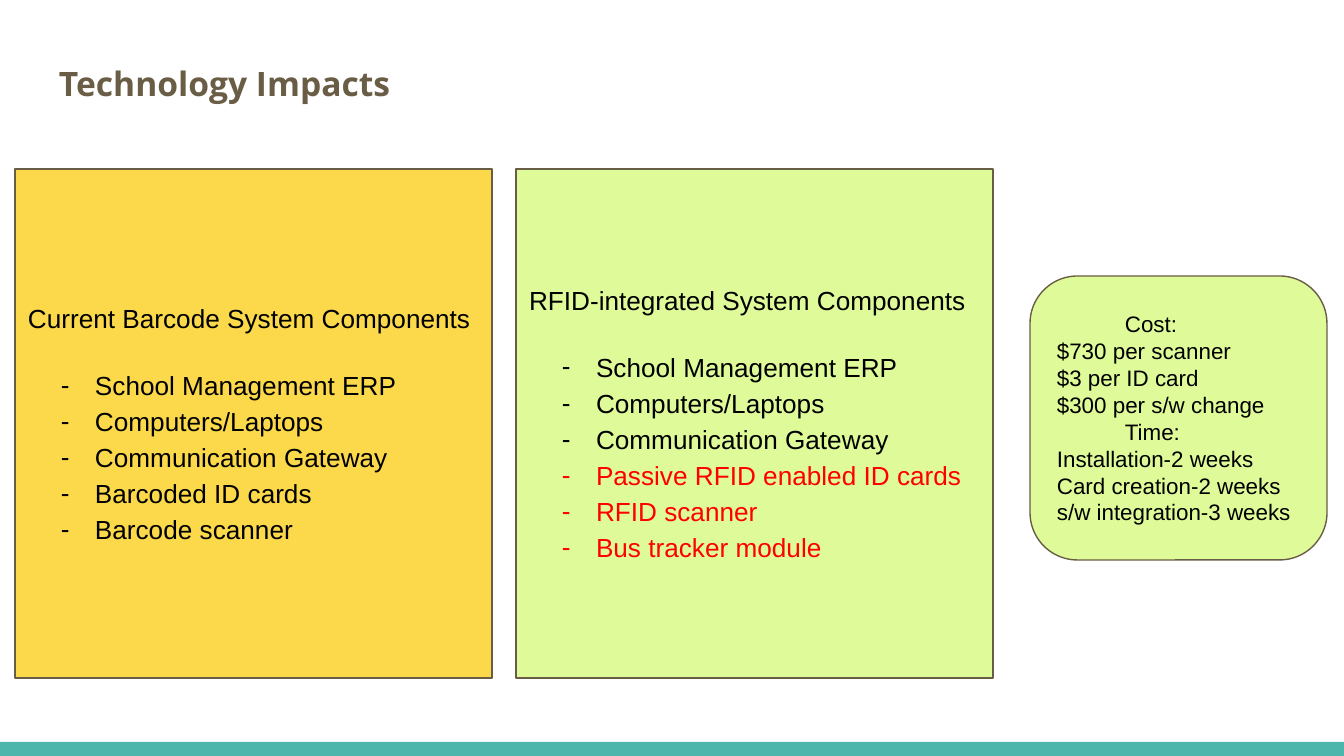
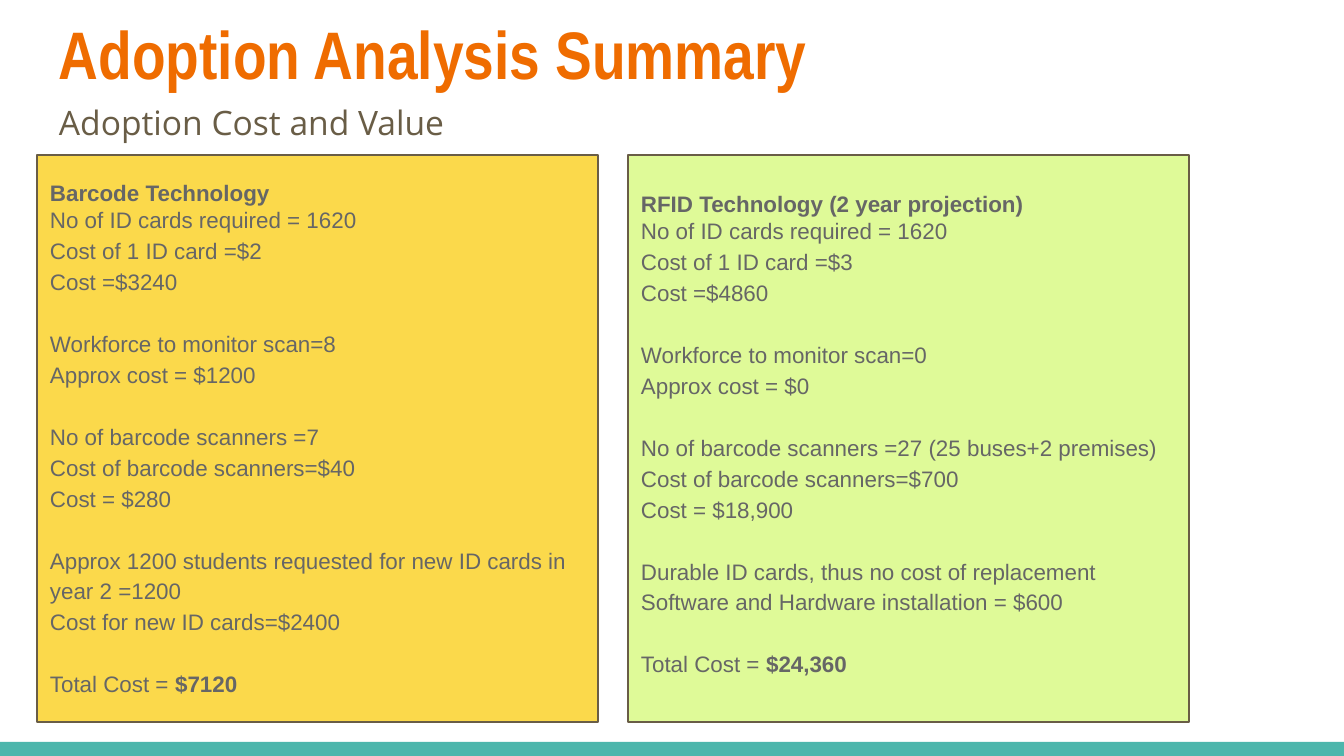
from lxml.etree import SubElement
from pptx import Presentation
from pptx.dml.color import RGBColor
from pptx.enum.shapes import MSO_SHAPE
from pptx.enum.text import MSO_ANCHOR, PP_ALIGN
from pptx.oxml.ns import qn
from pptx.util import Emu, Pt

PX = 914400 / 134.4
PAGE_WIDTH, PAGE_HEIGHT = 1344, 756
INSET = 13
GAP = 31
LOOSE = 1.15

TEAL, ORANGE, BROWN = "4DB6AC", "EF6C00", "695D46"
YELLOW, GREEN = "FACA02", "DFFA98"
BLACK, GREY, RED = "000000", "666666", "FF0000"

TITLE = {"name": "Arial Narrow", "size": Pt(36), "bold": True, "color": ORANGE}
SUBTITLE = {"name": "Open Sans", "size": Pt(18), "bold": False, "color": BROWN}
LIST = {"name": "Arial", "size": Pt(14), "bold": False, "color": BLACK}
NOTE = LIST | {"size": Pt(12)}
COST = NOTE | {"color": GREY}

SHARED_PARTS = ["School Management ERP", "Computers/Laptops", "Communication Gateway"]
BARCODE_PARTS = ["Barcoded ID cards", "Barcode scanner"]
RFID_PARTS = ["Passive RFID enabled ID cards", "RFID scanner", "Bus tracker module"]

IMPACT_NOTES = {
    "Cost:": ["$730 per scanner", "$3 per ID card", "$300 per s/w change"],
    "Time:": ["Installation-2 weeks", "Card creation-2 weeks", "s/w integration-3 weeks"],
}

BARCODE_COSTS = [
    ["No of ID cards required = 1620", "Cost of 1 ID card =$2", "Cost =$3240"],
    ["Workforce to monitor scan=8", "Approx cost = $1200"],
    ["No of barcode scanners =7", "Cost of barcode scanners=$40", "Cost = $280"],
    ["Approx 1200 students requested for new ID cards in year 2 =1200",
     "Cost for new ID cards=$2400"],
]
RFID_COSTS = [
    ["No of ID cards required = 1620", "Cost of 1 ID card =$3", "Cost =$4860"],
    ["Workforce to monitor scan=0", "Approx cost = $0"],
    ["No of barcode scanners =27 (25 buses+2 premises)",
     "Cost of barcode scanners=$700", "Cost = $18,900"],
    ["Durable ID cards, thus no cost of replacement",
     "Software and Hardware installation = $600"],
]


def px(length):
    return Emu(round(length * PX))


def rgb(color):
    return RGBColor.from_string(color)


def set_frame(shape, anchor, bottom=INSET):
    frame = shape.text_frame
    values = {
        "word_wrap": True, "vertical_anchor": anchor,
        "margin_left": px(INSET), "margin_right": px(INSET),
        "margin_top": px(INSET), "margin_bottom": px(bottom),
    }
    for name, value in values.items():
        setattr(frame, name, value)
    return frame


def add_span(para, text, style):
    span = para.add_run()
    span.text = text
    for name, value in style.items():
        if name == "color":
            span.font.color.rgb = rgb(value)
        else:
            setattr(span.font, name, value)


def add_para(frame, text, style, spacing=1.0, gap=0, indent=0):
    first = frame.paragraphs[0]
    para = frame.add_paragraph() if first.runs else first
    para.alignment = PP_ALIGN.LEFT
    para.line_spacing = spacing
    para.space_before = px(gap)
    if indent:
        para._p.get_or_add_pPr().set("marL", str(px(indent)))
    add_span(para, text, style)
    return para


def add_bullet(para, hanging, color):
    properties = para._p.get_or_add_pPr()
    properties.set("indent", str(-px(hanging)))
    bullet_color = SubElement(properties, qn("a:buClr"))
    SubElement(bullet_color, qn("a:srgbClr"), val=color)
    SubElement(properties, qn("a:buFont"), typeface="Arial")
    SubElement(properties, qn("a:buChar"), char="-")


def add_block(page, box, fill, kind=MSO_SHAPE.RECTANGLE, line=BROWN, alpha=None):
    shape = page.shapes.add_shape(kind, *map(px, box))
    shape.shadow.inherit = False
    shape.fill.solid()
    shape.fill.fore_color.rgb = rgb(fill)
    if alpha:
        fill_color = shape._element.spPr.find(qn("a:solidFill"))[0]
        SubElement(fill_color, qn("a:alpha"), val=str(alpha * 1000))
    if line:
        shape.line.color.rgb = rgb(line)
        shape.line.width = Pt(0.75)
    else:
        shape.line.fill.background()
    return shape


def add_panel(page, box, fill, bottom=INSET):
    """Add a panel with centred text; the yellow ones are partly transparent."""
    shape = add_block(page, box, fill, alpha=71 if fill == YELLOW else None)
    return set_frame(shape, MSO_ANCHOR.MIDDLE, bottom)


def add_heading(page, top, height, text, style, spacing=1.0):
    shape = page.shapes.add_textbox(px(46), px(top), px(1252), px(height))
    add_para(set_frame(shape, MSO_ANCHOR.TOP), text, style, spacing)


def add_page(deck):
    page = deck.slides.add_slide(deck.slide_layouts[6])
    add_block(page, (0, PAGE_HEIGHT - 14, PAGE_WIDTH, 14), TEAL, line=None)
    return page


def add_component_panel(page, box, fill, heading, own_parts, own_color):
    frame = add_panel(page, box, fill)
    add_para(frame, heading, LIST)
    colored = [(part, BLACK) for part in SHARED_PARTS]
    colored += [(part, own_color) for part in own_parts]
    for index, (part, color) in enumerate(colored):
        para = add_para(frame, part, LIST | {"color": color}, LOOSE,
                        gap=0 if index else GAP, indent=67)
        add_bullet(para, 34, color)


def add_impact_note(page, box):
    shape = add_block(page, box, GREEN, MSO_SHAPE.ROUNDED_RECTANGLE)
    shape.adjustments[0] = 0.167
    frame = set_frame(shape, MSO_ANCHOR.MIDDLE)
    for label, lines in IMPACT_NOTES.items():
        add_para(frame, label, NOTE, indent=68)
        for line in lines:
            add_para(frame, line, NOTE)


def add_cost_panel(page, box, fill, heading, groups, total, bottom=INSET):
    frame = add_panel(page, box, fill, bottom)
    strong = COST | {"bold": True}
    add_para(frame, heading, strong)
    for number, group in enumerate(groups):
        for index, line in enumerate(group):
            opening = number == index == 0
            gap = GAP if number and not index else 0
            add_para(frame, line, COST, 1.0 if opening else LOOSE, gap)
    add_span(add_para(frame, "Total Cost = ", COST, LOOSE, GAP), total, strong)


def add_impacts_page(deck):
    page = add_page(deck)
    add_heading(page, 44, 65, "Technology Impacts", SUBTITLE | {"bold": True}, LOOSE)
    left, top, width, height, step = 15, 169, 477, 509, 501
    panels = [
        (YELLOW, "Current Barcode System Components", BARCODE_PARTS, BLACK),
        (GREEN, "RFID-integrated System Components", RFID_PARTS, RED),
    ]
    for index, panel in enumerate(panels):
        add_component_panel(page, (left + index * step, top, width, height), *panel)
    add_impact_note(page, (1030, 276, 297, 284))


def add_summary_page(deck):
    page = add_page(deck)
    add_heading(page, -1, 103, "Adoption Analysis Summary", TITLE)
    add_heading(page, 83, 56, "Adoption Cost and Value", SUBTITLE, LOOSE)
    left, top, width, height, step = 37, 155, 561, 567, 591
    panels = [
        (YELLOW, "Barcode Technology", BARCODE_COSTS, "$7120"),
        (GREEN, "RFID Technology (2 year projection)", RFID_COSTS, "$24,360", INSET + 9),
    ]
    for index, panel in enumerate(panels):
        add_cost_panel(page, (left + index * step, top, width, height), *panel)


def main():
    deck = Presentation()
    deck.slide_width, deck.slide_height = px(PAGE_WIDTH), px(PAGE_HEIGHT)
    add_impacts_page(deck)
    add_summary_page(deck)
    deck.save("out.pptx")


if __name__ == "__main__":
    main()
